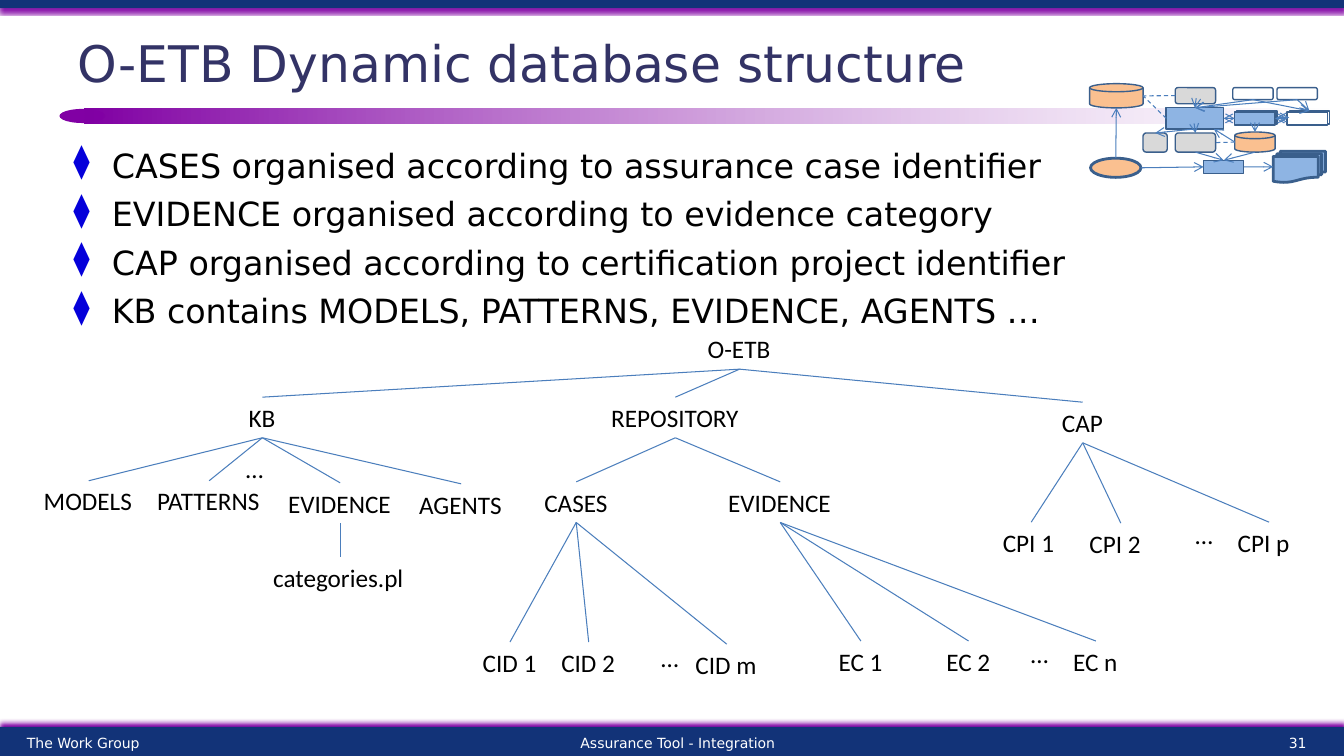
from dataclasses import dataclass

from lxml.etree import SubElement
from pptx import Presentation
from pptx.dml.color import RGBColor
from pptx.enum.dml import MSO_LINE
from pptx.enum.shapes import MSO_CONNECTOR, MSO_SHAPE
from pptx.enum.text import MSO_ANCHOR, PP_ALIGN
from pptx.oxml.ns import qn
from pptx.util import Pt

COLOURS = {
    "navy": "123378", "purple": "8100A4", "white": "FFFFFF", "black": "000000",
    "title": "333366", "bullet": "0500DA", "edge": "3A5F8C", "link": "4B7EBC",
    "orange": "FAC090", "blue": "8EB4E3", "grey": "D9D9D9",
}
TOP, BOTTOM, LEFT, RIGHT = (0.5, 0), (0.5, 1), (0, 0.5), (1, 0.5)
NODE_HEIGHT = 29


@dataclass
class Part:
    kind: MSO_SHAPE
    left: float
    top: float
    width: float
    height: float
    fill: str | None = None
    edge: float = 0

    def anchor(self, side: tuple) -> tuple:
        return self.left + side[0] * self.width, self.top + side[1] * self.height


@dataclass
class Link:
    start: str
    start_side: tuple
    end: str
    end_side: tuple
    style: str = "end"


@dataclass
class Node:
    label: str
    centre: float
    top: float
    width: float
    children: tuple = ()


def colour(name: str) -> RGBColor:
    return RGBColor.from_string(COLOURS[name])


def draw_part(page, part: Part):
    shape = page.shapes.add_shape(
        part.kind, Pt(part.left), Pt(part.top), Pt(part.width), Pt(part.height))
    shape.shadow.inherit = False
    if part.fill:
        shape.fill.solid()
        shape.fill.fore_color.rgb = colour(part.fill)
    else:
        shape.fill.background()
    if part.edge:
        shape.line.color.rgb = colour("edge")
        shape.line.width = Pt(part.edge)
    else:
        shape.line.fill.background()
    return shape


def draw_line(page, start: tuple, end: tuple, style: str = "plain") -> None:
    line = page.shapes.add_connector(
        MSO_CONNECTOR.STRAIGHT, *(Pt(value) for value in start + end))
    line.line.color.rgb = colour("link")
    line.line.width = Pt(0.75)
    if style == "dash":
        line.line.dash_style = MSO_LINE.DASH
    outline = line.line._get_or_add_ln()
    if style == "both":
        SubElement(outline, qn("a:headEnd"), type="arrow")
    if style in ("both", "end"):
        SubElement(outline, qn("a:tailEnd"), type="arrow")
    SubElement(line._element.spPr, qn("a:effectLst"))


def add_glow(shape, blur: float, distance: float, degrees: int) -> None:
    effects = shape._element.spPr.find(qn("a:effectLst"))
    shadow = SubElement(effects, qn("a:outerShdw"), blurRad=str(Pt(blur)),
                        dist=str(Pt(distance)), dir=str(degrees * 60000))
    SubElement(shadow, qn("a:srgbClr"), val=COLOURS["purple"])


def format_paragraph(para, text: str, size: float, ink: str, face: str = "DejaVu Sans") -> None:
    span = para.add_run()
    span.text = text
    for name, value in {"size": Pt(size), "name": face, "bold": False}.items():
        setattr(span.font, name, value)
    span.font.color.rgb = colour(ink)


def add_box(page, left: float, top: float, width: float, height: float, **formats):
    box = page.shapes.add_textbox(Pt(left), Pt(top), Pt(width), Pt(height))
    for name, value in formats.items():
        setattr(box.text_frame, name, value)
    return box.text_frame


def draw_label(page, node: Node) -> None:
    frame = add_box(page, node.centre - node.width / 2, node.top, node.width,
                    NODE_HEIGHT, word_wrap=False)
    format_paragraph(frame.paragraphs[0], node.label, 18, "black", "Calibri")


def draw_tree(page, node: Node) -> None:
    draw_label(page, node)
    for child in node.children:
        draw_line(page, (node.centre, node.top + NODE_HEIGHT), (child.centre, child.top))
        draw_tree(page, child)


BULLETS = (
    "CASES organised according to assurance case identifier",
    "EVIDENCE organised according to evidence category",
    "CAP organised according to certification project identifier",
    "KB contains MODELS, PATTERNS, EVIDENCE, AGENTS …",
)
FOOTERS = (
    ("The Work Group", 12.2, 224, PP_ALIGN.LEFT),
    ("Assurance Tool - Integration", 244, 480.2, PP_ALIGN.CENTER),
    ("31", 828, 112.3, PP_ALIGN.RIGHT),
)
TREE = Node("O-ETB", 528.3, 234.7, 59.8, (
    Node("KB", 187.4, 283.7, 33.8, (
        Node("MODELS", 63.4, 343.4, 78.5),
        Node("PATTERNS", 149.4, 343.4, 88.6),
        Node("EVIDENCE", 243, 344.9, 88.6, (Node("categories.pl", 243, 398.2, 110),)),
        Node("AGENTS", 329.4, 345.6, 74.2))),
    Node("REPOSITORY", 482.4, 283.7, 105.8, (
        Node("CASES", 411.6, 344.2, 59.8, (
            Node("CID 1", 364.3, 458.6, 53.3),
            Node("CID 2", 420.5, 458.6, 53.3),
            Node("CID m", 519.1, 460.1, 59))),
        Node("EVIDENCE", 557.3, 344.2, 88.6, (
            Node("EC 1", 614.9, 457.9, 46),
            Node("EC 2", 691.9, 457.9, 46),
            Node("EC n", 782.8, 457.9, 46.8))))),
    Node("CAP", 773.4, 287.3, 43.9, (
        Node("CPI 1", 736.6, 373, 54.7),
        Node("CPI 2", 800.6, 373.7, 59),
        Node("CPI p", 906.5, 373, 59)))))
GAPS = ((184, 320.4), (480.6, 455), (744.8, 452.2), (862.2, 367.2))

DISK, ROUND = MSO_SHAPE.FLOWCHART_MAGNETIC_DISK, MSO_SHAPE.ROUNDED_RECTANGLE
PROCESS, RECTANGLE = MSO_SHAPE.FLOWCHART_PROCESS, MSO_SHAPE.RECTANGLE
PARTS = {
    "store": Part(DISK, 778.3, 59.8, 38.2, 17.3, "orange", 1),
    "archive": Part(DISK, 882, 94.3, 28.8, 14.4, "orange", 1),
    "engine": Part(PROCESS, 833, 77, 41, 15.1, "blue", 1),
    "lower": Part(ROUND, 839.5, 95, 28.8, 13.7, "grey", 1),
    "upper": Part(ROUND, 839.5, 62.6, 28.8, 11.5, "grey", 1),
    "side": Part(ROUND, 816.5, 95, 17.3, 13.7, "grey", 1),
    "client a": Part(ROUND, 880.6, 62.6, 28.8, 8.6, None, 1),
    "client b": Part(ROUND, 912.2, 62.6, 28.8, 8.6, None, 1),
    "module back": Part(RECTANGLE, 883.4, 79.2, 28.8, 9.4, "blue", 1),
    "module": Part(PROCESS, 882, 79.9, 28.8, 9.4, "blue", 1),
    "service back": Part(RECTANGLE, 920.9, 79.2, 28.8, 9.4, None, 1),
    "service": Part(PROCESS, 919.4, 79.9, 28.8, 9.4, "white", 1),
    "report": Part(RECTANGLE, 859.7, 114.5, 28.8, 9.4, "blue", 1),
    "documents": Part(MSO_SHAPE.FLOWCHART_MULTIDOCUMENT, 909.4, 108, 37.4, 22.3, "blue", 2),
    "source": Part(MSO_SHAPE.OVAL, 779, 113, 36, 13.7, "orange", 2),
}
LINKS = (
    Link("module back", RIGHT, "service back", LEFT, "both"),
    Link("engine", RIGHT, "module", LEFT, "both"),
    Link("module", RIGHT, "service", LEFT, "both"),
    Link("upper", LEFT, "store", RIGHT, "dash"),
    Link("archive", LEFT, "lower", RIGHT, "dash"),
    Link("engine", LEFT, "store", RIGHT, "dash"),
    Link("upper", BOTTOM, "engine", TOP),
    Link("engine", BOTTOM, "lower", TOP),
    Link("engine", BOTTOM, "side", TOP),
    Link("module", BOTTOM, "archive", TOP),
    Link("client a", BOTTOM, "service back", TOP),
    Link("client b", BOTTOM, "service back", TOP),
    Link("client a", BOTTOM, "engine", TOP),
    Link("client b", BOTTOM, "engine", TOP),
    Link("report", RIGHT, "documents", LEFT),
    Link("lower", BOTTOM, "report", TOP),
    Link("archive", BOTTOM, "report", TOP),
    Link("source", TOP, "store", BOTTOM),
    Link("source", RIGHT, "report", LEFT),
    Link("archive", LEFT, "engine", (0.83, 1)),
)


def main() -> None:
    deck = Presentation()
    deck.slide_width, deck.slide_height = Pt(960), Pt(540)
    page = deck.slides.add_slide(deck.slide_layouts[5])

    # Bars and title rule
    add_glow(draw_part(page, Part(RECTANGLE, 0, 0, 960, 5.8, "navy")), 3, 2, 90)
    add_glow(draw_part(page, Part(RECTANGLE, 0, 519.1, 960, 22.3, "navy")), 3, 3, 270)
    draw_part(page, Part(MSO_SHAPE.OVAL, 42.5, 77.8, 33.1, 10.1, "purple"))
    rule = draw_part(page, Part(ROUND, 60.5, 77.8, 888.5, 10.1))
    rule.adjustments[0] = 0.02
    rule.fill.gradient()
    rule.fill.gradient_angle = 0
    for stop, (name, position) in zip(rule.fill.gradient_stops, (("purple", 0), ("white", 1))):
        stop.color.rgb = colour(name)
        stop.position = position
    SubElement(rule._element.spPr.findall(".//" + qn("a:srgbClr"))[-1], qn("a:alpha"), val="50000")

    # Title
    title = page.shapes.title
    bounds = {"left": 48.2, "top": 10.8, "width": 815.8, "height": 67.7}
    for name, value in bounds.items():
        setattr(title, name, Pt(value))
    title.text_frame.vertical_anchor = MSO_ANCHOR.MIDDLE
    heading = title.text_frame.paragraphs[0]
    heading.alignment = PP_ALIGN.LEFT
    format_paragraph(heading, "O-ETB Dynamic database structure", 36, "title")

    # Bullets
    body = add_box(page, 9.4, 100.1, 901.4, 123.1, word_wrap=True)
    for index, text in enumerate(BULLETS):
        para = body.add_paragraph() if index else body.paragraphs[0]
        properties = para._p.get_or_add_pPr()
        properties.set("marL", str(Pt(63.4)))
        properties.set("indent", str(Pt(-27.4)))
        SubElement(SubElement(properties, qn("a:buClr")), qn("a:srgbClr"), val=COLOURS["bullet"])
        SubElement(properties, qn("a:buChar"), char="⧫")
        para.space_before = Pt(6 if index else 0)
        format_paragraph(para, text, 23.8, "black")

    # Footer
    for text, left, width, alignment in FOOTERS:
        frame = add_box(page, left, 521.3, width, 18.7, word_wrap=True,
                        vertical_anchor=MSO_ANCHOR.MIDDLE)
        frame.paragraphs[0].alignment = alignment
        format_paragraph(frame.paragraphs[0], text, 10, "white")

    # Small architecture diagram
    for part in PARTS.values():
        draw_part(page, part)
    for link in LINKS:
        draw_line(page, PARTS[link.start].anchor(link.start_side),
                  PARTS[link.end].anchor(link.end_side), link.style)

    # Database tree
    draw_tree(page, TREE)
    for centre, top in GAPS:
        draw_label(page, Node("…", centre, top, 31))

    deck.save("out.pptx")


if __name__ == "__main__":
    main()
